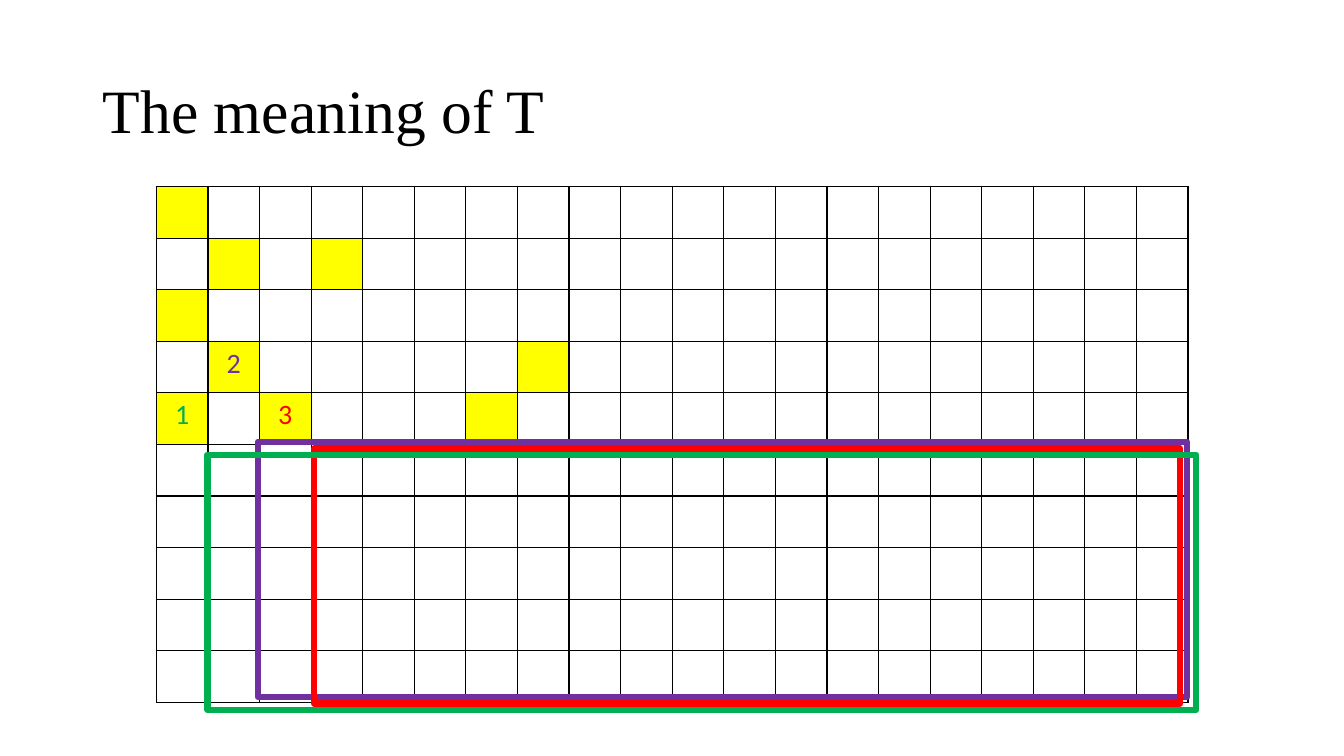
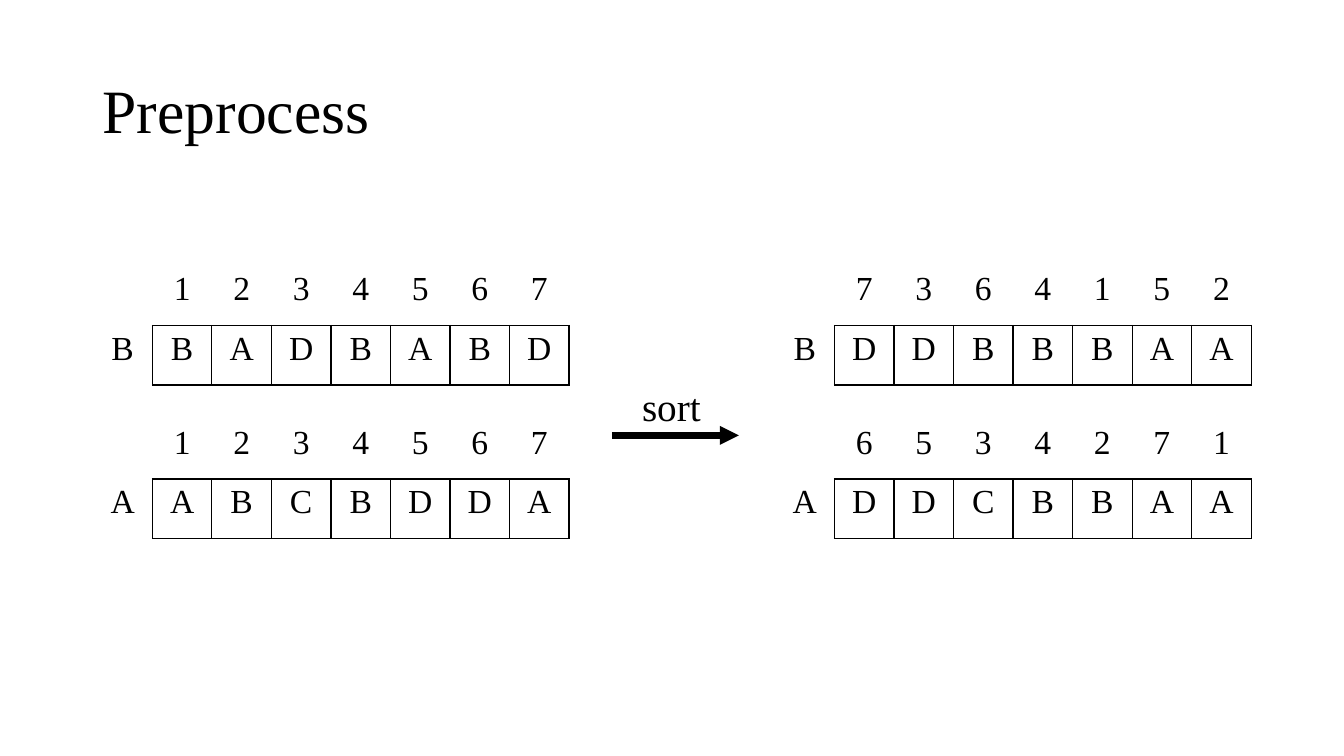
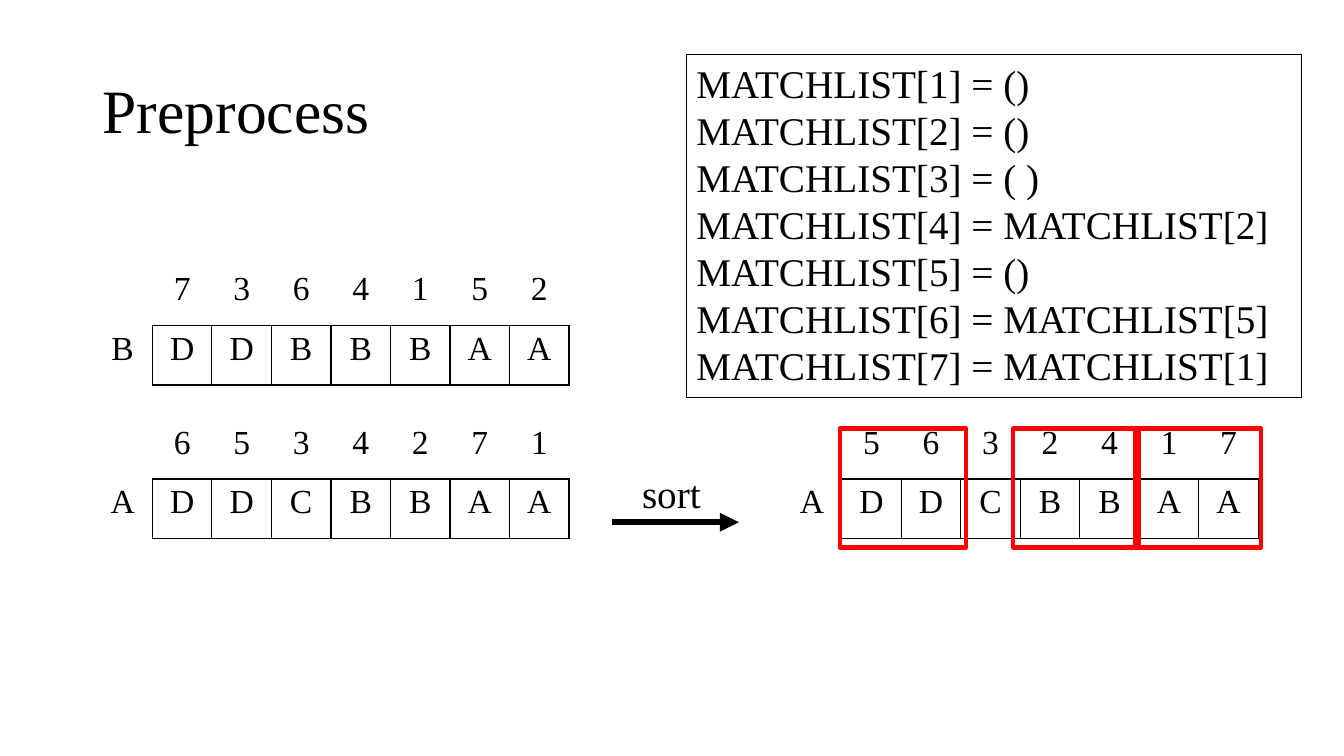
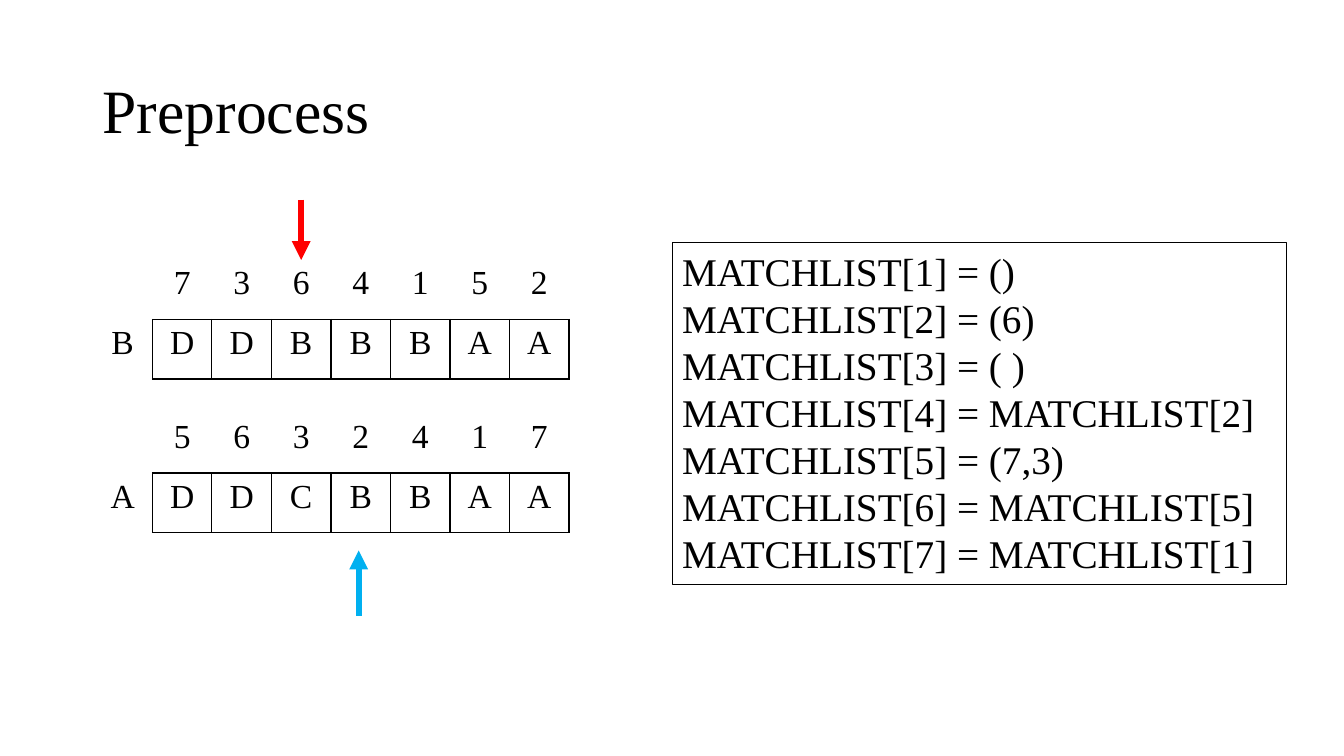
from typing import NamedTuple

from lxml.etree import SubElement
from pptx import Presentation
from pptx.dml.color import RGBColor
from pptx.enum.shapes import MSO_CONNECTOR as Link, MSO_SHAPE as Shape
from pptx.enum.text import MSO_ANCHOR as Anchor, PP_ALIGN as Align
from pptx.oxml.ns import qn
from pptx.util import Cm, Pt

# Shared style
BLACK = RGBColor(0x00, 0x00, 0x00)
YELLOW = RGBColor(0xFF, 0xFF, 0x00)
PURPLE = RGBColor(0x70, 0x30, 0xA0)
RED = RGBColor(0xFF, 0x00, 0x00)
GREEN = RGBColor(0x00, 0xB0, 0x50)
BLUE = RGBColor(0x00, 0xB0, 0xF0)
SERIF, SANS = "Times New Roman", "Calibri"
PLAIN = "{2D5ABB26-0587-4C30-8999-92F81FD0307C}"  # table style without lines
LEFT, RIGHT = 2.34, 19.53  # left edges of the two array columns
DROP = 3.87  # from array B down to array A


# Lengths in these records are centimetres, line weights are points
class Frame(NamedTuple):
    left: float
    top: float
    width: float
    height: float
    color: RGBColor
    weight: float


class Arrow(NamedTuple):
    left: float
    start: float
    right: float
    end: float
    color: RGBColor


class Strip(NamedTuple):
    label: str
    keys: str
    values: str


B_RAW = Strip("B", "1234567", "BADBABD")
A_RAW = Strip("A", "1234567", "ABCBDDA")
B_DONE = Strip("B", "7364152", "DDBBBAA")
A_DONE = Strip("A", "6534271", "DDCBBAA")
A_LIST = Strip("A", "5632417", "DDCBBAA")


# Text
def write(frame, text: str, *, size: float = 24, font: str = SERIF,
          color: RGBColor = BLACK, align=Align.LEFT, anchor=Anchor.TOP,
          wrap: bool = True, space: float = 1.0) -> None:
    frame.word_wrap = wrap
    frame.vertical_anchor = anchor
    for i, line in enumerate(text.split("\n")):
        para = frame.add_paragraph() if i else frame.paragraphs[0]
        para.alignment = align
        para.line_spacing = space
        run = para.add_run()
        run.text = line
        run.font.size = Pt(size)
        run.font.name = font
        run.font.color.rgb = color


def add_box(slide, left: float, top: float, width: float, height: float,
            text: str, **style) -> None:
    box = slide.shapes.add_textbox(Cm(left), Cm(top), Cm(width), Cm(height))
    write(box.text_frame, text, **style)


# Shapes and lines
def add_frame(slide, spec: Frame):
    rect = slide.shapes.add_shape(Shape.RECTANGLE, *map(Cm, spec[:4]))
    rect.shadow.inherit = False
    rect.fill.background()
    rect.line.color.rgb = spec.color
    rect.line.width = Pt(spec.weight)
    return rect


def add_arrow(slide, arrow: Arrow) -> None:
    line = slide.shapes.add_connector(Link.STRAIGHT, *map(Cm, arrow[:4]))
    line.line.color.rgb = arrow.color
    line.line.width = Pt(4.5)
    props = line.line._get_or_add_ln()
    SubElement(props, qn("a:tailEnd"), type="triangle")
    SubElement(line._element.spPr, qn("a:effectLst"))


# Tables
def add_table(slide, rows: int, cols: int, left: float, top: float,
              side: float):
    table = slide.shapes.add_table(rows, cols, Cm(left), Cm(top),
                                   Cm(cols * side), Cm(rows * side)).table
    table.first_row = table.horz_banding = False
    table._tbl.tblPr.find(qn("a:tableStyleId")).text = PLAIN
    for part in (*table.rows, *table.columns):
        if hasattr(part, "height"):
            part.height = Cm(side)
        else:
            part.width = Cm(side)
    return table


def edge(cell, sides: str) -> None:
    """Draw thin black borders; sides is a subset of LRTB in that order."""
    props = cell._tc.get_or_add_tcPr()
    for side in sides:
        line = SubElement(props, qn(f"a:ln{side}"), w=str(Pt(1)))
        fill = SubElement(line, qn("a:solidFill"))
        SubElement(fill, qn("a:srgbClr"), val=str(BLACK))


def add_strip(slide, left: float, top: float, strip: Strip) -> None:
    lines = (" " + strip.keys, strip.label + strip.values)
    table = add_table(slide, 2, len(lines[0]), left, top, 1.5)
    for row, line in enumerate(lines):
        for col, mark in enumerate(line):
            cell = table.cell(row, col)
            if col:
                edge(cell, "LRTB" if row else "B")
            elif row:
                edge(cell, "R")
            cell.fill.background()
            if mark != " ":
                write(cell.text_frame, mark, align=Align.CENTER)


def add_pair(slide, left: float, top: float, upper: Strip,
             lower: Strip) -> None:
    add_strip(slide, left, top, upper)
    add_strip(slide, left, top + DROP, lower)


# Parts used on several slides
def add_slide(deck, title: str):
    slide = deck.slides.add_slide(deck.slide_layouts[6])
    add_box(slide, LEFT, 1.02, 29.21, 3.68, title, size=44,
            anchor=Anchor.MIDDLE, space=0.9)
    return slide


def add_sort(slide, top: float) -> None:
    add_arrow(slide, Arrow(15.42, top, 18.62, top, BLACK))
    add_box(slide, 15.93, top - 1.45, 2.01, 1.45, "sort", size=28, wrap=False)


def add_lists(slide, left: float, top: float, *items: str) -> None:
    rect = add_frame(slide, Frame(left, top, 15.49, 8.64, BLACK, 0.75))
    text = "\n".join(f"MATCHLIST[{i}] = {item}"
                     for i, item in enumerate(items, 1))
    write(rect.text_frame, text, size=28)


# Slides
def show_grid(deck) -> None:
    slide = add_slide(deck, "The meaning of T")
    marked = {(0, 0), (1, 1), (1, 3), (2, 0), (3, 1), (3, 7),
              (4, 0), (4, 2), (4, 6)}
    digits = {(4, 0): ("1", GREEN), (3, 1): ("2", PURPLE), (4, 2): ("3", RED)}
    table = add_table(slide, 10, 20, 3.94, 4.7, 1.3)
    for row in range(10):
        for col in range(20):
            cell = table.cell(row, col)
            edge(cell, "LRTB")
            if (row, col) in marked:
                cell.fill.solid()
                cell.fill.fore_color.rgb = YELLOW
            else:
                cell.fill.background()
            if (row, col) in digits:
                digit, color = digits[row, col]
                write(cell.text_frame, digit, size=20, font=SANS,
                      color=color, align=Align.CENTER)
    for left, top, width, color in ((6.5, 11.13, 23.42, PURPLE),
                                    (7.92, 11.3, 21.82, RED),
                                    (5.23, 11.46, 24.92, GREEN)):
        add_frame(slide, Frame(left, top, width, 6.43, color, 4.5))


def show_sort(deck) -> None:
    slide = add_slide(deck, "Preprocess")
    add_pair(slide, LEFT, 6.7, B_RAW, A_RAW)
    add_pair(slide, RIGHT, 6.7, B_DONE, A_DONE)
    add_sort(slide, 10.97)


def show_groups(deck) -> None:
    slide = add_slide(deck, "Preprocess")
    add_pair(slide, LEFT, 6.7, B_DONE, A_DONE)
    add_sort(slide, 13.16)
    add_strip(slide, 19.71, 6.7 + DROP, A_LIST)
    for left in (21.16, 25.53, 28.6):
        add_frame(slide, Frame(left, 10.8, 3.18, 3, RED, 3))
    add_lists(slide, 17.3, 1.37, "()", "()", "( )", "MATCHLIST[2]", "()",
              "MATCHLIST[5]", "MATCHLIST[1]")


def show_match(deck) -> None:
    slide = add_slide(deck, "Preprocess")
    add_pair(slide, LEFT, 6.55, B_DONE, A_LIST)
    add_arrow(slide, Arrow(7.59, 5.03, 7.59, 6.55, RED))
    add_arrow(slide, Arrow(9.04, 15.52, 9.04, 13.87, BLUE))
    add_lists(slide, 16.94, 6.1, "()", "(6)", "( )", "MATCHLIST[2]", "(7,3)",
              "MATCHLIST[5]", "MATCHLIST[1]")


def main() -> None:
    deck = Presentation()
    deck.slide_width, deck.slide_height = Cm(33.87), Cm(19.05)
    for show in (show_grid, show_sort, show_groups, show_match):
        show(deck)
    deck.save("out.pptx")


if __name__ == "__main__":
    main()
